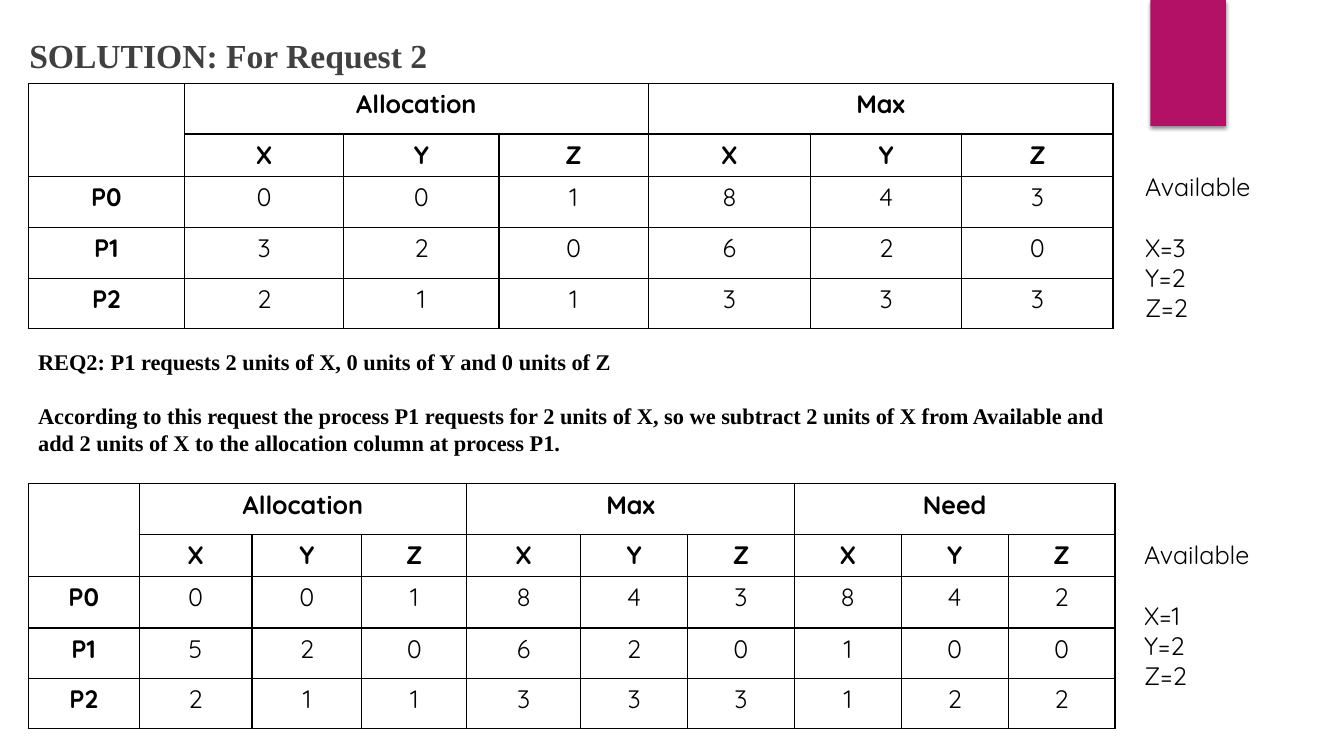
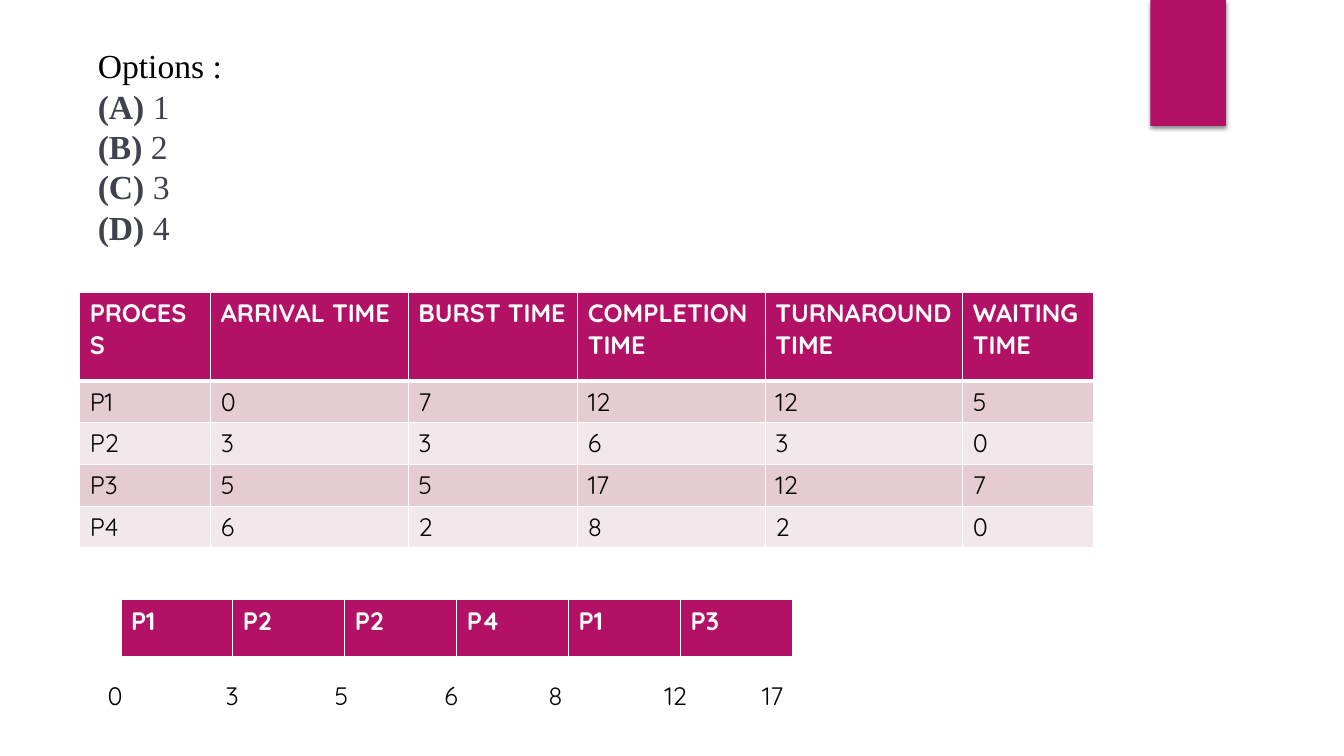
from lxml import etree
from pptx import Presentation
from pptx import util as u
from pptx.dml.color import RGBColor
from pptx.enum import shapes, text
from pptx.oxml import ns

MAGENTA = RGBColor(0xB3, 0x11, 0x66)
ROSE = RGBColor(0xE5, 0xCC, 0xD3)
BLUSH = RGBColor(0xF2, 0xE7, 0xEA)
WHITE = RGBColor(0xFF, 0xFF, 0xFF)
BLACK = RGBColor(0, 0, 0)
TITLE_GRAY = RGBColor(0x40, 0x40, 0x40)
OPTION_GRAY = RGBColor(0x40, 0x42, 0x4E)
SANS = "Quicksand"
SERIF = "Times New Roman"


def add_span(para, words, size=18, font=SANS, color=BLACK, bold=False):
    span = para.add_run()
    span.text = words
    span.font.size = u.Pt(size)
    span.font.name = font
    span.font.color.rgb = color
    span.font.bold = bold


def add_grid(slide, left, top, widths, heights, rows, line, fills=None,
             header_rows=1, bold_column=False, align=None):
    """Draw a table; None as cell text leaves the cell empty."""
    frame = slide.shapes.add_table(
        len(rows), len(widths), u.Inches(left), u.Inches(top),
        u.Inches(sum(widths)), u.Inches(sum(heights)))
    table = frame.table
    table.horz_banding = False
    for column, width in zip(table.columns, widths):
        column.width = u.Inches(width)
    for r, values in enumerate(rows):
        table.rows[r].height = u.Inches(heights[r])
        for c, value in enumerate(values):
            cell = table.cell(r, c)
            fill = fills[r] if fills else None
            if fill is None:
                cell.fill.background()
            else:
                cell.fill.solid()
                cell.fill.fore_color.rgb = fill
            para = cell.text_frame.paragraphs[0]
            para.alignment = align
            if value is not None:
                add_span(para, str(value),
                         color=WHITE if fill == MAGENTA else BLACK,
                         bold=r < header_rows or (bold_column and c == 0))
            # Borders precede the fill in the cell properties
            properties = cell._tc.get_or_add_tcPr()
            for place, side in enumerate(("lnL", "lnR", "lnT", "lnB")):
                points = 3 if side == "lnB" and fill == MAGENTA else 1
                border = etree.Element(ns.qn("a:" + side), w=str(u.Pt(points)))
                solid = etree.SubElement(border, ns.qn("a:solidFill"))
                etree.SubElement(solid, ns.qn("a:srgbClr"), val=str(line))
                properties.insert(place, border)
    return table


deck = Presentation()
deck.slide_width = u.Inches(13.33)
deck.slide_height = u.Inches(7.5)
request_page = deck.slides.add_slide(deck.slide_layouts[5])
options_page = deck.slides.add_slide(deck.slide_layouts[1])

# Shared band, moved to the slide master
band = request_page.shapes.add_shape(
    shapes.MSO_SHAPE.RECTANGLE, u.Inches(11.41), 0, u.Inches(0.75), u.Inches(1.25))
band.fill.solid()
band.fill.fore_color.rgb = MAGENTA
band.line.fill.background()
effects = etree.SubElement(band.element.spPr, ns.qn("a:effectLst"))
shadow = etree.SubElement(effects, ns.qn("a:outerShdw"), blurRad=str(u.Pt(3)),
                          dist=str(u.Pt(2)), dir="5400000", rotWithShape="0")
shade = etree.SubElement(shadow, ns.qn("a:srgbClr"), val=str(BLACK))
etree.SubElement(shade, ns.qn("a:alpha"), val="45000")
band.element.nvSpPr.cNvPr.set("id", "20")
deck.slide_master.shapes.element.insert(2, band.element)

# Titles
for page, words, place, color, bold, anchor in (
        (request_page, "SOLUTION: For Request 2", (0.19, 0.26, 12.68, 0.57),
         TITLE_GRAY, True, text.MSO_ANCHOR.MIDDLE),
        (options_page, "Options :", (0.87, 0.4, 9.01, 0.5),
         BLACK, False, text.MSO_ANCHOR.TOP)):
    title = page.shapes.title
    title.left, title.top, title.width, title.height = map(u.Inches, place)
    title.text_frame.auto_size = text.MSO_AUTO_SIZE.NONE
    title.text_frame.vertical_anchor = anchor
    para = title.text_frame.paragraphs[0]
    para.alignment = text.PP_ALIGN.LEFT
    para.line_spacing = u.Pt(28.8)
    add_span(para, words, 24, SERIF, color, bold)

# Allocation tables before and after the request
before_widths = [1.55, 1.58, 1.54, 1.48, 1.61, 1.5, 1.5]
before_rows = [
    ["P0", 0, 0, 1, 8, 4, 3],
    ["P1", 3, 2, 0, 6, 2, 0],
    ["P2", 2, 1, 1, 3, 3, 3],
]
after_widths = [1.1, 1.12, 1.09, 1.04, 1.13] + [1.06] * 5
after_rows = [
    ["P0", 0, 0, 1, 8, 4, 3, 8, 4, 2],
    ["P1", 5, 2, 0, 6, 2, 0, 1, 0, 0],
    ["P2", 2, 1, 1, 3, 3, 3, 1, 2, 2],
]
for top, widths, groups, body_rows in (
        (0.83, before_widths, ["Allocation", "Max"], before_rows),
        (4.8, after_widths, ["Allocation", "Max", "Need"], after_rows)):
    group_row, unit_row = [None], [None]
    for group in groups:
        group_row += [group, None, None]
        unit_row += ["X", "Y", "Z"]
    table = add_grid(request_page, 0.28, top, widths, [0.5, 0.42, 0.51, 0.5, 0.5],
                     [group_row, unit_row] + body_rows, BLACK, header_rows=2,
                     bold_column=True, align=text.PP_ALIGN.CENTER)
    table.cell(0, 0).merge(table.cell(1, 0))
    for first in range(1, len(widths), 3):
        table.cell(0, first).merge(table.cell(0, first + 2))

# Available units and request explanation; the second paragraph is set apart
request_lines = [
    "REQ2: P1 requests 2 units of X, 0 units of Y and 0 units of Z",
    "According to this request the process P1 requests for 2 units of X, so we "
    "subtract 2 units of X from Available and add 2 units of X to the allocation "
    "column at process P1.",
]
for place, lines, size, font, bold, gap in (
        ((11.26, 1.65, 1.79, 1.62), ["Available", "X=3", "Y=2", "Z=2"], 18, SANS, False, 22),
        ((0.28, 3.4, 10.77, 1.18), request_lines, 16, SERIF, True, 20),
        ((11.25, 5.3, 1.8, 1.62), ["Available", "X=1", "Y=2", "Z=2"], 18, SANS, False, 22)):
    box = request_page.shapes.add_textbox(*map(u.Inches, place))
    box.text_frame.word_wrap = True
    for i, words in enumerate(lines):
        para = box.text_frame.paragraphs[0] if i == 0 else box.text_frame.add_paragraph()
        if i == 1:
            para.space_before = u.Pt(gap)
        add_span(para, words, size, font, bold=bold)

# Answer options
options = options_page.placeholders[1]
options.left, options.top = u.Inches(0.87), u.Inches(0.8)
options.width, options.height = u.Inches(9.01), u.Inches(1.72)
options.text_frame.auto_size = text.MSO_AUTO_SIZE.NONE
for i, letter in enumerate("ABCD"):
    para = options.text_frame.paragraphs[0] if i == 0 else options.text_frame.add_paragraph()
    para.space_before = u.Pt(0)
    para.line_spacing = u.Pt(28.8)
    settings = para._p.get_or_add_pPr()
    settings.set("marL", "0")
    settings.set("indent", "0")
    etree.SubElement(settings, ns.qn("a:buNone"))
    add_span(para, f"({letter})", 24, SERIF, OPTION_GRAY, True)
    add_span(para, f" {i + 1}", 24, SERIF, OPTION_GRAY)

# Process times
time_rows = [
    ["PROCESS", "ARRIVAL TIME", "BURST TIME", "COMPLETION TIME",
     "TURNAROUND TIME", "WAITING TIME"],
    ["P1", 0, 7, 12, 12, 5],
    ["P2", 3, 3, 6, 3, 0],
    ["P3", 5, 5, 17, 12, 7],
    ["P4", 6, 2, 8, 2, 0],
]
add_grid(options_page, 0.79, 2.9, [1.3, 1.96, 1.68, 1.86, 1.96, 1.3],
         [0.88] + [0.41] * 4, time_rows, WHITE,
         fills=[MAGENTA, ROSE, BLUSH, ROSE, BLUSH])

# Gantt row with its time marks
add_grid(options_page, 1.2, 5.95, [1.11] * 6, [0.58],
         [["P1", "P2", "P2", "P4", "P1", "P3"]], WHITE, fills=[MAGENTA])
marks = options_page.shapes.add_shape(
    shapes.MSO_SHAPE.RECTANGLE, u.Inches(0.97), u.Inches(6.7), u.Inches(7.23), u.Inches(0.4))
marks.shadow.inherit = False
marks.fill.solid()
marks.fill.fore_color.rgb = WHITE
marks.line.color.rgb = WHITE
marks.line.width = u.Pt(1.5)
para = marks.text_frame.paragraphs[0]
para.alignment = text.PP_ALIGN.LEFT
tabs = etree.SubElement(para._p.get_or_add_pPr(), ns.qn("a:tabLst"))
for stop in (1.17, 2.25, 3.34, 4.37, 5.52, 6.49):
    etree.SubElement(tabs, ns.qn("a:tab"), pos=str(u.Inches(stop)), algn="l")
add_span(para, "\t".join(["0", "3", "5", "6", "8", "12", "17"]))

deck.save("out.pptx")
